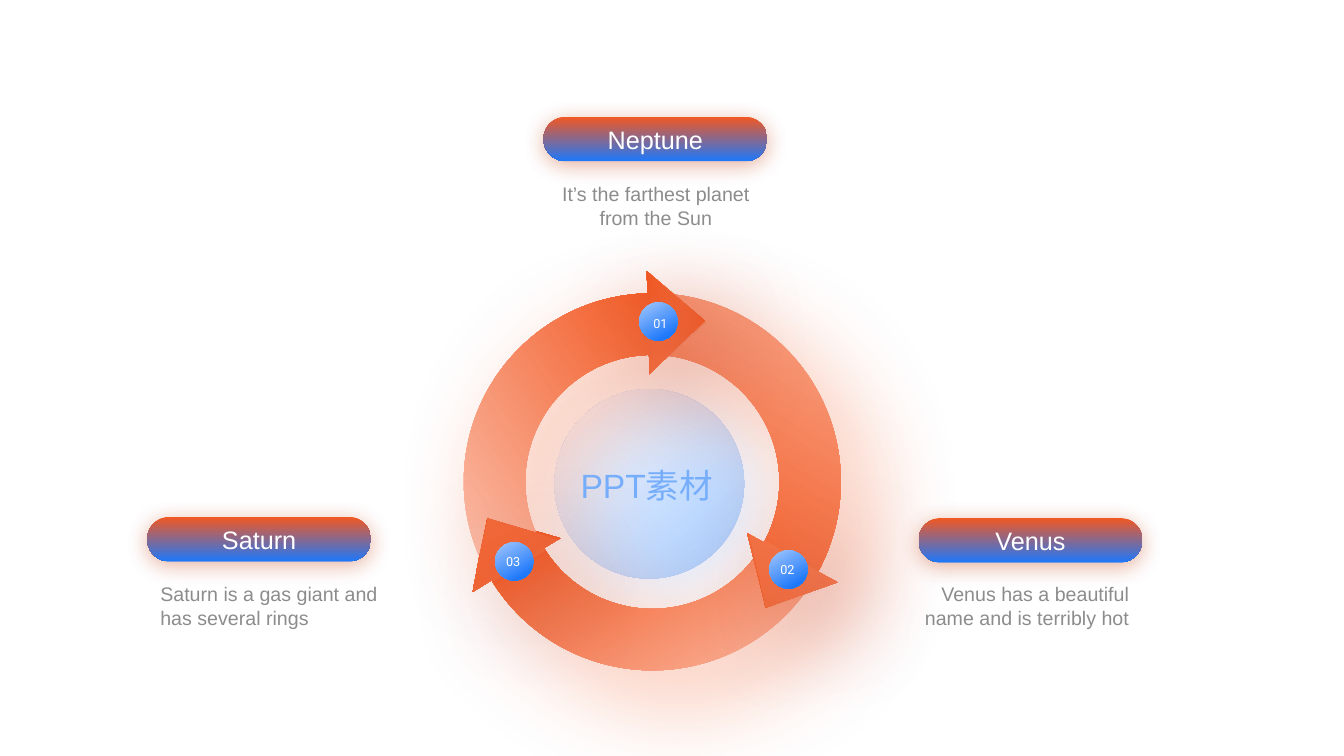
from math import cos, radians, sin, tan

from pptx import Presentation
from pptx.dml.color import RGBColor
from pptx.enum.shapes import MSO_SHAPE as SHAPE
from pptx.enum.text import MSO_ANCHOR as ANCHOR, MSO_AUTO_SIZE as AUTO_SIZE, PP_ALIGN as ALIGN
from pptx.oxml import parse_xml
from pptx.oxml.ns import nsdecls, qn
from pptx.util import Inches, Pt

ORANGE = RGBColor(0xF2, 0x58, 0x22)
PEACH = RGBColor(0xFA, 0xBC, 0xA7)
CORAL = RGBColor(0xF7, 0x9A, 0x7A)
PALE_PEACH = RGBColor(0xF9, 0xBC, 0xA6)
RUST = RGBColor(0xC3, 0x3B, 0x0C)
BLUE = RGBColor(0x1D, 0x78, 0xFA)
SKY = RGBColor(0x77, 0xAE, 0xFC)
LIGHT_BLUE = RGBColor(0xA5, 0xC9, 0xFD)
DISC_BLUE = RGBColor(0xA2, 0xC8, 0xFD)
GRAY = RGBColor(0x8C, 0x8C, 0x8C)
WHITE = RGBColor(0xFF, 0xFF, 0xFF)

# Ring geometry: inches and clockwise degrees
RING_X, RING_Y = 6.47, 4.78
OUTER, INNER = 1.87, 1.26
TIP, BARB_OUT, BARB_IN = 1.68, 2.09, 1.07
HEAD_SPAN = 19.5
FRAME_TOP = -90
GLOW = dict(opacity=40, blur=71, distance=27, angle=45)


def ring_point(radius, angle):
    return (Inches(RING_X + radius * cos(radians(angle))),
            Inches(RING_Y + radius * sin(radians(angle))))


def curve(radius, start, end):
    """Two handles and the end point of a Bezier curve along the ring."""
    handle = 4 / 3 * tan(radians(end - start) / 4)
    (x0, y0), (x1, y1) = ring_point(radius, start), ring_point(radius, end)
    center_x, center_y = Inches(RING_X), Inches(RING_Y)
    return [(x0 - handle * (y0 - center_y), y0 + handle * (x0 - center_x)),
            (x1 + handle * (y1 - center_y), y1 - handle * (x1 - center_x)),
            (x1, y1)]


def arrow_steps(tip_angle, tail_span, notched):
    """Start point, then lines (one point) and curves (three points)."""
    head, tail = tip_angle - HEAD_SPAN, tip_angle - tail_span
    steps = [curve(OUTER, tail, FRAME_TOP), curve(OUTER, FRAME_TOP, head),
             [ring_point(BARB_OUT, head)], [ring_point(TIP, tip_angle)],
             [ring_point(BARB_IN, head)], [ring_point(INNER, head)],
             curve(INNER, head, FRAME_TOP), curve(INNER, FRAME_TOP, tail)]
    if notched:
        steps.append([ring_point(TIP, tip_angle - 120)])
    return ring_point(OUTER, tail), steps


def write_text(shape, text, size, color, font="Arial", align=ALIGN.CENTER,
               anchor=ANCHOR.MIDDLE, inset=None, grow=False):
    frame = shape.text_frame
    frame.word_wrap = True
    frame.vertical_anchor = anchor
    if grow:
        frame.auto_size = AUTO_SIZE.SHAPE_TO_FIT_TEXT
    if inset is not None:
        frame.margin_left = frame.margin_right = Inches(inset)
        frame.margin_top = frame.margin_bottom = Inches(inset)
    paragraph = frame.paragraphs[0]
    paragraph.alignment = align
    run = paragraph.add_run()
    run.text = text
    run.font.name = font
    run.font.size = Pt(size)
    run.font.color.rgb = color


class CycleSlide:
    def __init__(self, slide):
        self.shapes = slide.shapes

    def gradient(self, shape, stops, angle=None):
        """Fill with (position, colour, opacity) stops; without an angle it is radial."""
        stop_xml = "".join(
            f'<a:gs pos="{position * 1000}"><a:srgbClr val="{color}">'
            f'<a:alpha val="{opacity * 1000}"/></a:srgbClr></a:gs>'
            for position, color, opacity in stops)
        if angle is None:
            direction = ('<a:path path="circle"><a:fillToRect l="0" t="0" '
                         'r="100000" b="100000"/></a:path>')
        else:
            direction = f'<a:lin ang="{angle * 60000}" scaled="0"/>'
        shape.fill.background()
        properties = shape._element.spPr
        properties.replace(properties.find(qn("a:noFill")), parse_xml(
            f'<a:gradFill {nsdecls("a")} rotWithShape="1"><a:gsLst>{stop_xml}</a:gsLst>'
            f'{direction}</a:gradFill>'))

    def shadow(self, shape, color, opacity, blur, distance, angle):
        effects = shape._element.spPr.find(qn("a:effectLst"))
        effects.append(parse_xml(
            f'<a:outerShdw {nsdecls("a")} blurRad="{Pt(blur)}" dist="{Pt(distance)}" '
            f'dir="{angle * 60000}" algn="tl" rotWithShape="0"><a:srgbClr val="{color}">'
            f'<a:alpha val="{opacity * 1000}"/></a:srgbClr></a:outerShdw>'))

    def shape(self, kind, left, top, width, height):
        shape = self.shapes.add_shape(kind, Inches(left), Inches(top),
                                      Inches(width), Inches(height))
        shape.shadow.inherit = False
        shape.line.fill.background()
        return shape

    def text(self, text, left, top, width, height, **style):
        box = self.shapes.add_textbox(Inches(left), Inches(top), Inches(width), Inches(height))
        write_text(box, text, **style)

    def center_disc(self):
        disc = self.shape(SHAPE.OVAL, 5.5, 3.86, 1.88, 1.88)
        self.gradient(disc, [(0, WHITE, 100), (100, DISC_BLUE, 100)])
        self.shadow(disc, SKY, opacity=19, blur=36, distance=16, angle=45)

    def outline(self, start, steps):
        """Freeform whose three-point steps become Bezier curves."""
        builder = self.shapes.build_freeform(*start)
        builder.add_line_segments([step[-1] for step in steps], close=True)
        shape = builder.convert_to_shape()
        lines = list(shape._element.iter(qn("a:lnTo")))
        for line, step in zip(lines, steps):
            if len(step) == 3:
                points = "".join(f'<a:pt x="{round(x - shape.left)}" y="{round(y - shape.top)}"/>'
                                 for x, y in step)
                line.getparent().replace(line, parse_xml(
                    f'<a:cubicBezTo {nsdecls("a")}>{points}</a:cubicBezTo>'))
        return shape

    def ring_arrow(self, tip_angle, rotation, tail_span, notched):
        arrow = self.outline(*arrow_steps(tip_angle - rotation, tail_span, notched))
        # Swing the frame round the ring centre as it turns
        x = arrow.left + arrow.width / 2 - Inches(RING_X)
        y = arrow.top + arrow.height / 2 - Inches(RING_Y)
        cosine, sine = cos(radians(rotation)), sin(radians(rotation))
        arrow.left = round(Inches(RING_X) + x * cosine - y * sine - arrow.width / 2)
        arrow.top = round(Inches(RING_Y) + x * sine + y * cosine - arrow.height / 2)
        arrow.rotation = rotation
        arrow.shadow.inherit = False
        arrow.line.fill.background()
        self.gradient(arrow, [(0, PEACH, 100), (84, ORANGE, 100)], 60)
        self.shadow(arrow, ORANGE, **GLOW)

    def head_shade(self, left, top, rotation, color):
        shade = self.shape(SHAPE.ISOSCELES_TRIANGLE, left, top, 1.05, 0.57)
        shade.rotation = rotation
        shade._element.spPr.find(qn("a:xfrm")).set("flipH", "1")
        self.gradient(shade, [(0, color, 20), (99, WHITE, 0)], 90)

    def badge(self, left, top):
        badge = self.shape(SHAPE.OVAL, left, top, 0.38, 0.38)
        self.gradient(badge, [(0, LIGHT_BLUE, 100), (84, BLUE, 100)], 60)
        self.shadow(badge, BLUE, **GLOW)

    def planet(self, name, fact, pill, caption, align):
        box = self.shape(SHAPE.ROUNDED_RECTANGLE, *caption, 2.55, 0.86)
        box.adjustments[0] = 0
        box.fill.background()
        write_text(box, fact, size=14, color=GRAY, align=align, inset=0.13)
        shape = self.shape(SHAPE.ROUNDED_RECTANGLE, *pill, 2.22, 0.44)
        shape.adjustments[0] = 0.5
        self.gradient(shape, [(0, ORANGE, 100), (100, BLUE, 100)], 90)
        self.shadow(shape, RUST, opacity=40, blur=16, distance=3, angle=90)
        write_text(shape, name, size=18, color=WHITE)


def main():
    presentation = Presentation()
    presentation.slide_width, presentation.slide_height = Inches(13.33), Inches(7.5)
    cycle = CycleSlide(presentation.slides.add_slide(presentation.slide_layouts[6]))

    cycle.center_disc()
    cycle.ring_arrow(168, 180, 150, False)
    cycle.ring_arrow(48, 60, 150, False)
    cycle.ring_arrow(288, 267.8, 131, True)
    cycle.head_shade(6.19, 2.91, 90, ORANGE)
    cycle.head_shade(7.21, 5.49, 210, CORAL)
    cycle.head_shade(4.46, 5.1, 330, PALE_PEACH)

    for place in [(6.34, 3), (7.63, 5.46), (4.91, 5.38)]:
        cycle.badge(*place)
    cycle.text("PPT素材", 5.26, 4.56, 2.31, 0.5, size=24, color=SKY, anchor=ANCHOR.TOP, grow=True)
    for number, left, top in [("02", 7.63, 5.52), ("03", 4.91, 5.45), ("01", 6.37, 3.08)]:
        cycle.text(number, left, top, 0.36, 0.25, size=9, color=WHITE, font="Roboto",
                   anchor=ANCHOR.TOP, grow=True)

    cycle.planet("Venus", "Venus has a beautiful name and is terribly hot",
                 (9.11, 5.14), (8.78, 5.58), ALIGN.RIGHT)
    cycle.planet("Saturn", "Saturn is a gas giant and has several rings",
                 (1.46, 5.13), (1.46, 5.58), ALIGN.LEFT)
    cycle.planet("Neptune", "It’s the farthest planet from the Sun",
                 (5.39, 1.16), (5.23, 1.61), ALIGN.CENTER)
    presentation.save("out.pptx")


if __name__ == "__main__":
    main()
